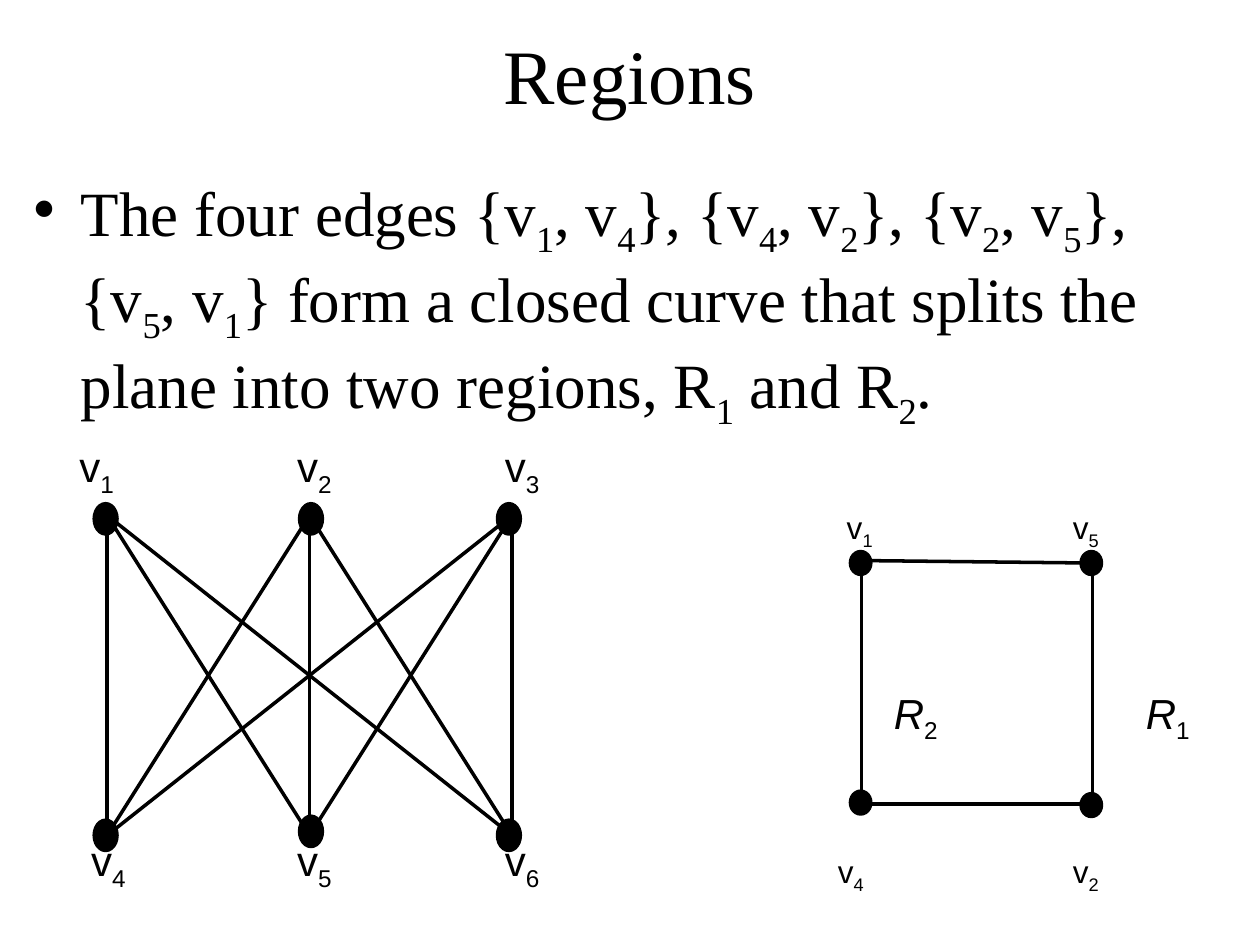
from dataclasses import dataclass
from itertools import product

from lxml import etree
from pptx import Presentation
from pptx.dml.color import RGBColor
from pptx.enum.shapes import MSO_CONNECTOR, MSO_SHAPE
from pptx.enum.text import MSO_ANCHOR, PP_ALIGN
from pptx.oxml.ns import qn
from pptx.slide import Slide
from pptx.text.text import TextFrame, _Paragraph
from pptx.util import Cm, Pt

STRAIGHT = MSO_CONNECTOR.STRAIGHT
OVAL = MSO_SHAPE.OVAL
MIDDLE = MSO_ANCHOR.MIDDLE
CENTER = PP_ALIGN.CENTER

COLORS = {"ink": "000000", "paper": "FFFFFF"}
SERIF, SANS = "Times New Roman", "Arial"
INK = RGBColor.from_string(COLORS["ink"])


@dataclass(frozen=True)
class Point:
    x: float
    y: float


@dataclass(frozen=True)
class Label:
    text: str
    x: float
    y: float
    size: int
    italic: bool = False


STATEMENT = (
    "The four edges {v_1, v_4}, {v_4, v_2}, {v_2, v_5}, {v_5, v_1} form a closed "
    "curve that splits the plane into two regions, R_1 and R_2."
)
BIPARTITE_NODES = [
    Point(2.13, 10.46), Point(6.27, 10.46), Point(10.26, 10.46),
    Point(2.13, 16.84), Point(6.27, 16.76), Point(10.26, 16.84),
]
BIPARTITE_COLUMNS = (2.16, 6.24, 10.32)
BIPARTITE_TOP, BIPARTITE_BOTTOM = 10.39, 16.84
CYCLE_NODES = [
    Point(17.35, 11.35), Point(22, 11.35), Point(17.35, 16.18), Point(22, 16.23),
]
CYCLE_EDGES = [
    (Point(17.37, 11.3), Point(17.37, 16.18)),
    (Point(22.02, 11.35), Point(22.02, 16.23)),
    (Point(22.02, 16.21), Point(17.35, 16.21)),
    (Point(22.02, 11.35), Point(17.37, 11.3)),
]
LABELS = [
    Label("v_1", 1.6, 8.89, 24),
    Label("v_2", 5.99, 8.89, 24),
    Label("v_3", 10.18, 8.89, 24),
    Label("v_4", 1.84, 16.83, 24),
    Label("v_5", 5.99, 16.83, 24),
    Label("v_6", 10.18, 16.83, 24),
    Label("v_1", 17.07, 10.25, 18),
    Label("v_5", 21.63, 10.25, 18),
    Label("v_4", 16.89, 17.18, 18),
    Label("v_2", 21.63, 17.18, 18),
    Label("R_2", 18.02, 13.85, 24, italic=True),
    Label("R_1", 23.1, 13.85, 24, italic=True),
]


def add_run(paragraph: _Paragraph, text: str, font: str, size: int,
            italic: bool = False, subscript: bool = False) -> None:
    run = paragraph.add_run()
    run.text = text
    run.font.name = font
    run.font.size = Pt(size)
    run.font.italic = italic
    run.font.color.rgb = INK
    if subscript:
        run.font._element.set("baseline", "-25000")


def add_indexed_text(paragraph: _Paragraph, text: str, font: str, size: int,
                     italic: bool = False) -> None:
    first, *indexed = text.split("_")
    add_run(paragraph, first, font, size, italic)
    for part in indexed:
        add_run(paragraph, part[0], font, size, subscript=True)
        if part[1:]:
            add_run(paragraph, part[1:], font, size, italic)


def add_frame(slide: Slide, x: float, y: float, width: float, height: float) -> TextFrame:
    frame = slide.shapes.add_textbox(Cm(x), Cm(y), Cm(width), Cm(height)).text_frame
    frame.word_wrap = True
    return frame


def add_title(slide: Slide, text: str) -> None:
    frame = add_frame(slide, 1.27, 0.43, 22.86, 2.11)
    frame.vertical_anchor = MIDDLE
    frame.paragraphs[0].alignment = CENTER
    add_run(frame.paragraphs[0], text, SERIF, 44)


def add_statement(slide: Slide, text: str) -> None:
    paragraph = add_frame(slide, 0.43, 3.38, 24, 6.35).paragraphs[0]
    paragraph.space_before = Pt(7.2)
    properties = paragraph._p.get_or_add_pPr()
    properties.set("marL", str(Cm(0.95)))
    properties.set("indent", str(Cm(-0.95)))
    etree.SubElement(properties, qn("a:buChar")).set("char", "•")
    add_indexed_text(paragraph, text, SERIF, 36)


def add_label(slide: Slide, label: Label) -> None:
    frame = add_frame(slide, label.x, label.y, 1.5, 1.1)
    frame.margin_left = frame.margin_right = frame.margin_top = frame.margin_bottom = 0
    add_indexed_text(frame.paragraphs[0], label.text, SANS, label.size, label.italic)


def add_edge(slide: Slide, start: Point, end: Point) -> None:
    edge = slide.shapes.add_connector(
        STRAIGHT, Cm(start.x), Cm(start.y), Cm(end.x), Cm(end.y))
    edge.line.color.rgb = INK
    edge.line.width = Pt(2)
    etree.SubElement(edge._element.spPr, qn("a:effectLst"))


def add_node(slide: Slide, center: Point, width: float, height: float) -> None:
    node = slide.shapes.add_shape(
        OVAL, Cm(center.x - width / 2), Cm(center.y - height / 2), Cm(width), Cm(height))
    node.shadow.inherit = False
    node.fill.solid()
    node.fill.fore_color.rgb = INK
    node.line.color.rgb = INK
    node.line.width = Pt(2)


def main() -> None:
    presentation = Presentation()
    presentation.slide_width, presentation.slide_height = Cm(25.4), Cm(19.05)
    slide = presentation.slides.add_slide(presentation.slide_layouts[6])
    slide.background.fill.solid()
    slide.background.fill.fore_color.rgb = RGBColor.from_string(COLORS["paper"])

    add_title(slide, "Regions")
    add_statement(slide, STATEMENT)
    for upper, lower in product(BIPARTITE_COLUMNS, repeat=2):
        add_edge(slide, Point(upper, BIPARTITE_TOP), Point(lower, BIPARTITE_BOTTOM))
    for start, end in CYCLE_EDGES:
        add_edge(slide, start, end)
    for center in BIPARTITE_NODES:
        add_node(slide, center, 0.46, 0.61)
    for center in CYCLE_NODES:
        add_node(slide, center, 0.41, 0.46)
    for label in LABELS:
        add_label(slide, label)

    presentation.save("out.pptx")


if __name__ == "__main__":
    main()
